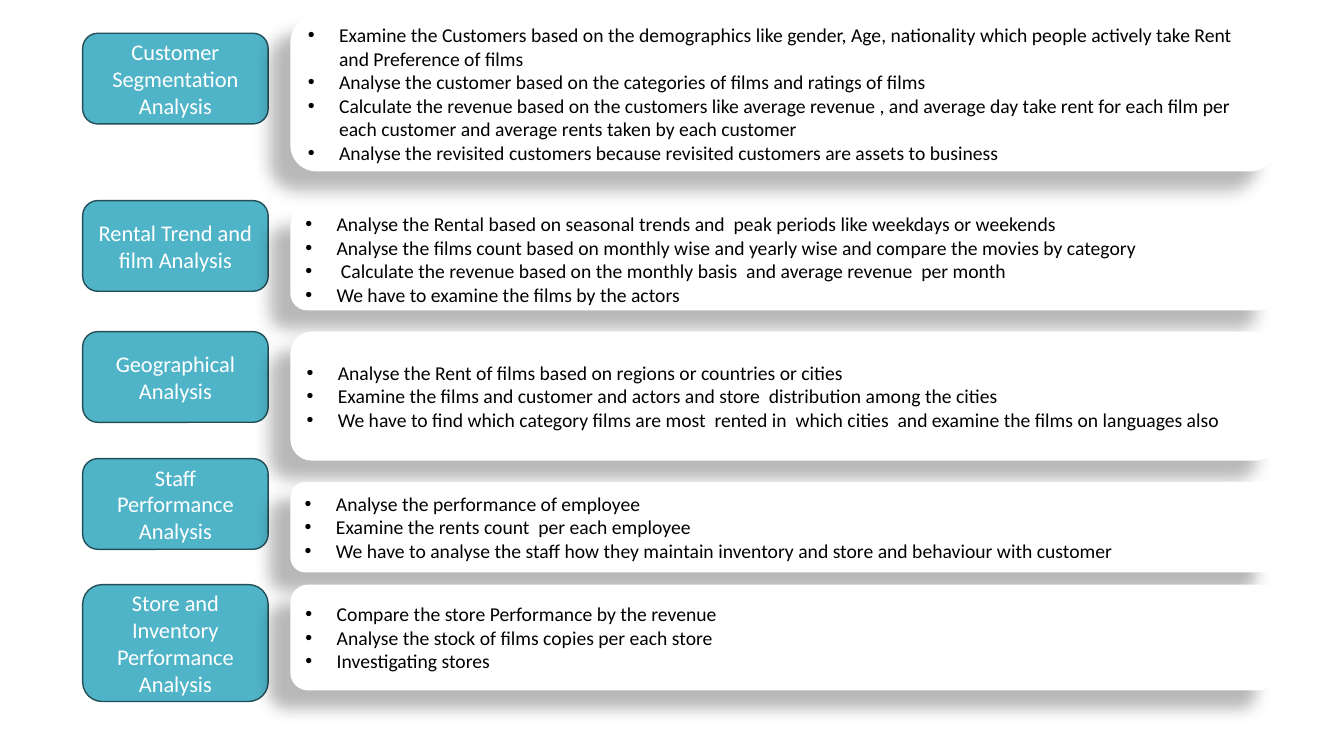
from lxml import etree
from pptx import Presentation
from pptx.dml.color import RGBColor
from pptx.enum.shapes import MSO_SHAPE
from pptx.enum.text import MSO_ANCHOR, PP_ALIGN
from pptx.oxml.ns import qn
from pptx.util import Pt

ROUND = MSO_SHAPE.ROUNDED_RECTANGLE
MIDDLE = MSO_ANCHOR.MIDDLE
LEFT, CENTER = PP_ALIGN.LEFT, PP_ALIGN.CENTER
SCALE = 9144  # EMU per px, 100 px to the inch
BLANK = 6
HUES = {"teal": "50B4C8", "edge": "234F58", "white": "FFFFFF", "black": "000000"}
LABEL_X, LABEL_W = 82, 184
PANEL_X, PANEL_W = 288, 978

# label, label top, label height, panel top, panel height, points
ROWS = [
    ("Customer Segmentation Analysis", 33, 90, 16, 154, [
        "Examine the Customers based on the demographics like gender, Age, nationality "
        "which people actively take Rent  and Preference of films",
        "Analyse the customer based on the categories of films and ratings of films",
        "Calculate the revenue based on the customers like average revenue , and average "
        "day take rent for each film per each customer and average rents taken by each customer",
        "Analyse the revisited customers because revisited customers are assets to business",
    ]),
    ("Rental Trend and film Analysis", 199, 90, 206, 102, [
        "Analyse the Rental based on seasonal trends and  peak periods like weekdays or weekends",
        "Analyse the films count based on monthly wise and yearly wise and compare the movies "
        "by category",
        " Calculate the revenue based on the monthly basis  and average revenue  per month",
        "We have to examine the films by the actors",
    ]),
    ("Geographical Analysis", 329, 90, 329, 128, [
        "Analyse the Rent of films based on regions or countries or cities",
        "Examine the films and customer and actors and store  distribution among the cities",
        "We have to find which category films are most  rented in  which cities  and examine "
        "the films on languages also",
    ]),
    ("Staff Performance Analysis", 455, 90, 478, 90, [
        "Analyse the performance of employee",
        "Examine the rents count  per each employee",
        "We have to analyse the staff how they maintain inventory and store and behaviour "
        "with customer",
    ]),
    ("Store and Inventory Performance Analysis", 580, 116, 580, 105, [
        "Compare the store Performance by the revenue",
        "Analyse the stock of films copies per each store",
        "Investigating stores",
    ]),
]


def px(n):
    return n * SCALE


def rgb(hue):
    return RGBColor.from_string(HUES[hue])


class Deck:
    def __init__(self, wide, high, font):
        self.prs = Presentation()
        self.prs.slide_width, self.prs.slide_height = px(wide), px(high)
        self.slide = self.prs.slides.add_slide(self.prs.slide_layouts[BLANK])
        self.font = font

    def box(self, x, y, w, h, fill, edge=None):
        shape = self.slide.shapes.add_shape(ROUND, px(x), px(y), px(w), px(h))
        shape.shadow.inherit = False
        shape.fill.solid()
        shape.fill.fore_color.rgb = rgb(fill)
        if edge:
            shape.line.color.rgb = rgb(edge)
            shape.line.width = Pt(1)
        else:
            shape.line.fill.background()
        return shape

    def text(self, para, words, size, hue, align=LEFT):
        para.alignment = align
        run = para.add_run()
        run.text = words
        run.font.name, run.font.size = self.font, Pt(size)
        run.font.color.rgb = rgb(hue)

    def shade(self, shape):
        """Cast a soft shadow down and to the left."""
        parent = shape._element.spPr.find(qn("a:effectLst"))
        cast = etree.SubElement(parent, qn("a:outerShdw"), blurRad=str(Pt(11.8)),
                                dist=str(Pt(19.7)), dir="8460000", algn="ctr")
        tint = etree.SubElement(cast, qn("a:srgbClr"), val=HUES["black"])
        etree.SubElement(tint, qn("a:alpha"), val="28000")

    def bullet(self, para):
        props = para._p.get_or_add_pPr()
        props.set("marL", str(px(31)))
        props.set("indent", str(px(-31)))
        etree.SubElement(props, qn("a:buFont"), typeface="Arial")
        etree.SubElement(props, qn("a:buChar"), char="•")

    def label(self, words, y, h):
        frame = self.box(LABEL_X, y, LABEL_W, h, "teal", "edge").text_frame
        frame.word_wrap, frame.vertical_anchor = True, MIDDLE
        self.text(frame.paragraphs[0], words, 16, "white", CENTER)

    def panel(self, points, y, h):
        shape = self.box(PANEL_X, y, PANEL_W, h, "white")
        self.shade(shape)
        frame = shape.text_frame
        frame.word_wrap, frame.vertical_anchor = True, MIDDLE
        for i, words in enumerate(points):
            para = frame.add_paragraph() if i else frame.paragraphs[0]
            self.text(para, words, 14, "black")
            self.bullet(para)


def main():
    deck = Deck(1333, 750, "Calibri")
    for name, top, high, y, h, points in ROWS:
        deck.label(name, top, high)
        deck.panel(points, y, h)
    deck.prs.save("out.pptx")


if __name__ == "__main__":
    main()
